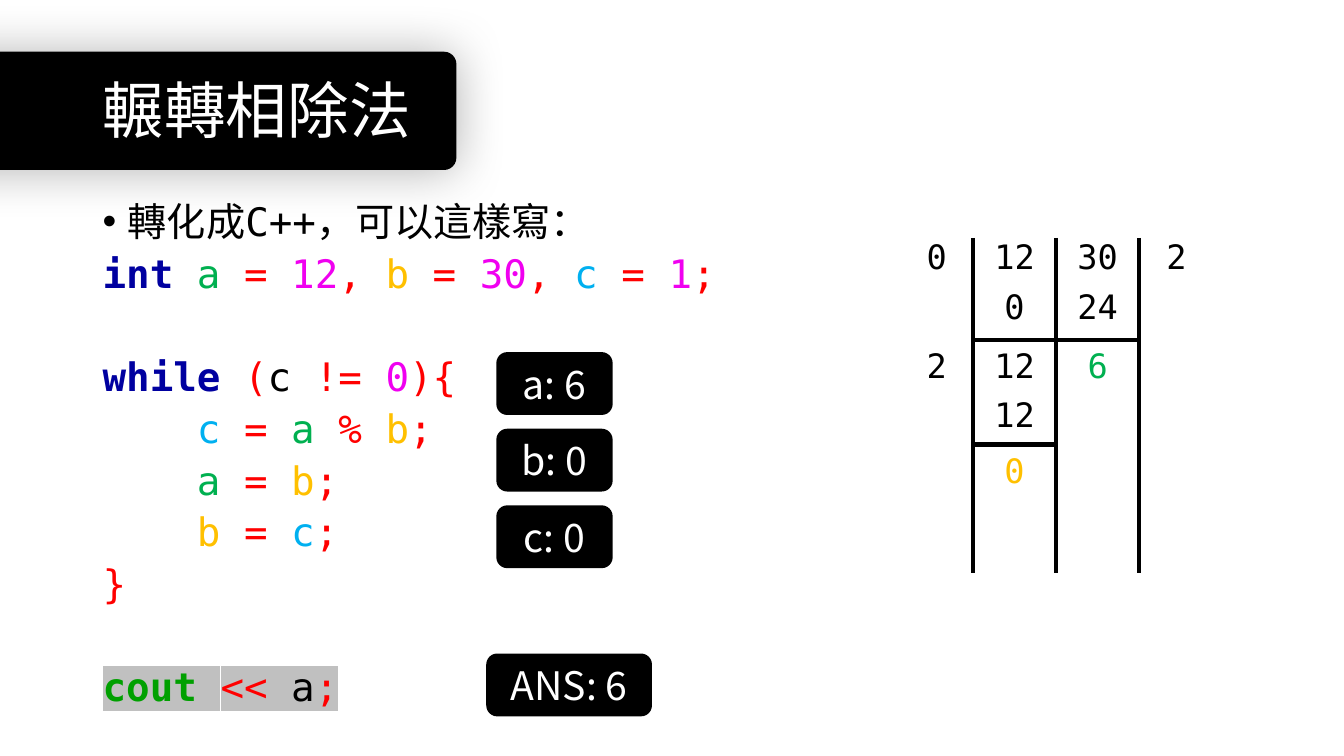
from collections import namedtuple

from lxml import etree
from pptx import Presentation
from pptx.dml.color import RGBColor
from pptx.enum.shapes import MSO_CONNECTOR, MSO_SHAPE
from pptx.enum.text import MSO_ANCHOR, PP_ALIGN
from pptx.oxml.ns import qn
from pptx.util import Inches, Pt

Box = namedtuple("Box", "left top width height")
MONO, SANS = "DejaVu Sans Mono", "Noto Sans CJK TC"
COLORS = {
    "black": "000000", "white": "FFFFFF", "keyword": "0000A0", "stream": "00A000",
    "a": "00B050", "b": "FFC000", "c": "00B0F0",
    "number": "F000F0", "symbol": "FF0000", "highlight": "C0C0C0",
}
TOKEN_COLORS = {"int": "keyword", "while": "keyword", "cout": "stream",
                "a": "a", "b": "b", "c": "c"}

# Tokens split by "|"; variable drawn in black; space before; highlight
CODE = [
    ("int |a |= |12|, |b |= |30|, |c |= |1|;", None, 10, None),
    ("while |(|c |!= |0|){", "c", 47, None),
    ("    |c |= |a |% |b|;", None, 10, None),
    ("    |a |= |b|;", None, 10, None),
    ("    |b |= |c|;", None, 10, None),
    ("}", None, 10, None),
    ("cout |<< |a|;", "a", 47, "highlight"),
]
# Column, row, number, colour
DIVISION = [
    (0, 0, "0", "black"), (1, 0, "12", "black"), (2, 0, "30", "black"), (3, 0, "2", "black"),
    (1, 1, "0", "black"), (2, 1, "24", "black"),
    (0, 2, "2", "black"), (1, 2, "12", "black"), (2, 2, "6", "a"),
    (1, 3, "12", "black"), (1, 4, "0", "b"),
]


def color(name):
    return RGBColor.from_string(COLORS[name])


def inches(box):
    return [Inches(length) for length in box]


def add_run(paragraph, text, size=28, fill="black", font=MONO, bold=False, highlight=None):
    run = paragraph.add_run()
    run.text = text
    run.font.size, run.font.bold, run.font.name = Pt(size), bold, font
    run.font.color.rgb = color(fill)
    properties = run.font._element
    latin = properties.find(qn("a:latin"))
    east_asian = etree.Element(qn("a:ea"), typeface=SANS)
    latin.addnext(east_asian)
    if highlight:
        mark = etree.Element(qn("a:highlight"))
        etree.SubElement(mark, qn("a:srgbClr"), val=COLORS[highlight])
        latin.addprevious(mark)
    return run


def add_text_box(slide, box, anchor=MSO_ANCHOR.TOP):
    frame = slide.shapes.add_textbox(*inches(box)).text_frame
    frame.word_wrap = True
    frame.vertical_anchor = anchor
    return frame


def add_panel(slide, box):
    panel = slide.shapes.add_shape(MSO_SHAPE.ROUNDED_RECTANGLE, *inches(box))
    panel.shadow.inherit = False
    panel.fill.solid()
    panel.fill.fore_color.rgb = color("black")
    panel.line.color.rgb = color("black")
    panel.line.width = Pt(1)
    return panel


def add_rule(slide, left, top, right, bottom):
    rule = slide.shapes.add_connector(
        MSO_CONNECTOR.STRAIGHT, *inches((left, top, right, bottom)))
    rule.line.color.rgb = color("black")
    rule.line.width = Pt(3)
    etree.SubElement(rule._element.spPr, qn("a:effectLst"))


def add_banner(slide, box, text):
    # Black tab with a soft glow-like shadow, bleeding off the left edge
    banner = add_panel(slide, box)
    banner.adjustments[0] = 0.1
    effects = banner._element.spPr.find(qn("a:effectLst"))
    shadow = etree.SubElement(effects, qn("a:outerShdw"), blurRad=str(Pt(36)),
                              dist="0", dir="0", algn="ctr", rotWithShape="0")
    shade = etree.SubElement(shadow, qn("a:srgbClr"), val=COLORS["black"])
    etree.SubElement(shade, qn("a:alpha"), val="30000")

    # Title
    title_box = Box(0.92, box.top - 0.12, 11.5, box.height + 0.29)
    paragraph = add_text_box(slide, title_box, MSO_ANCHOR.MIDDLE).paragraphs[0]
    paragraph.line_spacing = 0.9
    add_run(paragraph, text, size=44, fill="white")


def token_color(token, black_variable):
    word = token.strip()
    if word == black_variable:
        return "black"
    if word.isdigit():
        return "number"
    return TOKEN_COLORS.get(word, "symbol")


def add_code(slide, box, heading):
    frame = add_text_box(slide, box)

    # Bulleted heading
    paragraph = frame.paragraphs[0]
    properties = paragraph._p.get_or_add_pPr()
    properties.set("marL", str(Inches(0.25)))
    properties.set("indent", str(Inches(-0.25)))
    etree.SubElement(properties, qn("a:buFont"), typeface="Arial")
    etree.SubElement(properties, qn("a:buChar"), char="•")
    paragraph.line_spacing = 0.8
    add_run(paragraph, heading)

    # Program lines
    for line, black_variable, space, highlight in CODE:
        paragraph = frame.add_paragraph()
        paragraph.line_spacing = 0.8
        paragraph.space_before = Pt(space)
        for token in line.split("|"):
            name = token_color(token, black_variable)
            add_run(paragraph, token, fill=name, bold=name in ("keyword", "stream"),
                    highlight=highlight)


def add_value(slide, box, text):
    frame = add_panel(slide, box).text_frame
    frame.word_wrap = False
    frame.vertical_anchor = MSO_ANCHOR.MIDDLE
    paragraph = frame.paragraphs[0]
    paragraph.alignment = PP_ALIGN.CENTER
    add_run(paragraph, text, fill="white", font=SANS)


def add_values(slide, box):
    # Three equal boxes spread over the height, one per variable
    height = 0.61
    step = (box.height - height) / 2
    for index, text in enumerate(("a: 6", "b: 0", "c: 0")):
        add_value(slide, Box(box.left, box.top + index * step, box.width, height), text)


def add_division(slide, box):
    # Three upright rules bound two columns; quotients stand outside
    column = box.width / 2
    rails = [box.left + index * column for index in range(3)]
    for rail in rails:
        add_rule(slide, rail, box.top, rail, box.top + box.height)

    # Subtraction rules
    first, second = box.top + 1.01, box.top + 2.05
    for left, top in ((rails[0], first), (rails[1], first), (rails[0], second)):
        add_rule(slide, left, top, left + column, top)

    # Numbers
    centers = (rails[0] - 0.36, rails[0] + column / 2, rails[1] + column / 2, rails[2] + 0.37)
    row_tops = (box.top - 0.07, box.top + 0.43, first, first + 0.49, second)
    for place, row, number, name in DIVISION:
        cell = Box(centers[place] - 0.3, row_tops[row], 0.6, 0.5)
        paragraph = add_text_box(slide, cell).paragraphs[0]
        paragraph.alignment = PP_ALIGN.CENTER
        add_run(paragraph, number, size=24, fill=name)


def main():
    presentation = Presentation()
    presentation.slide_width, presentation.slide_height = Inches(13.33), Inches(7.5)
    slide = presentation.slides.add_slide(presentation.slide_layouts[6])
    add_banner(slide, Box(-2.12, 0.52, 6.64, 1.16), "輾轉相除法")
    add_code(slide, Box(0.92, 2, 11.5, 5.28), "轉化成C++，可以這樣寫：")
    add_division(slide, Box(9.65, 2.36, 1.65, 3.32))
    add_values(slide, Box(4.93, 3.5, 1.14, 2.13))
    add_value(slide, Box(4.83, 6.49, 1.63, 0.61), "ANS: 6")
    presentation.save("out.pptx")


if __name__ == "__main__":
    main()
